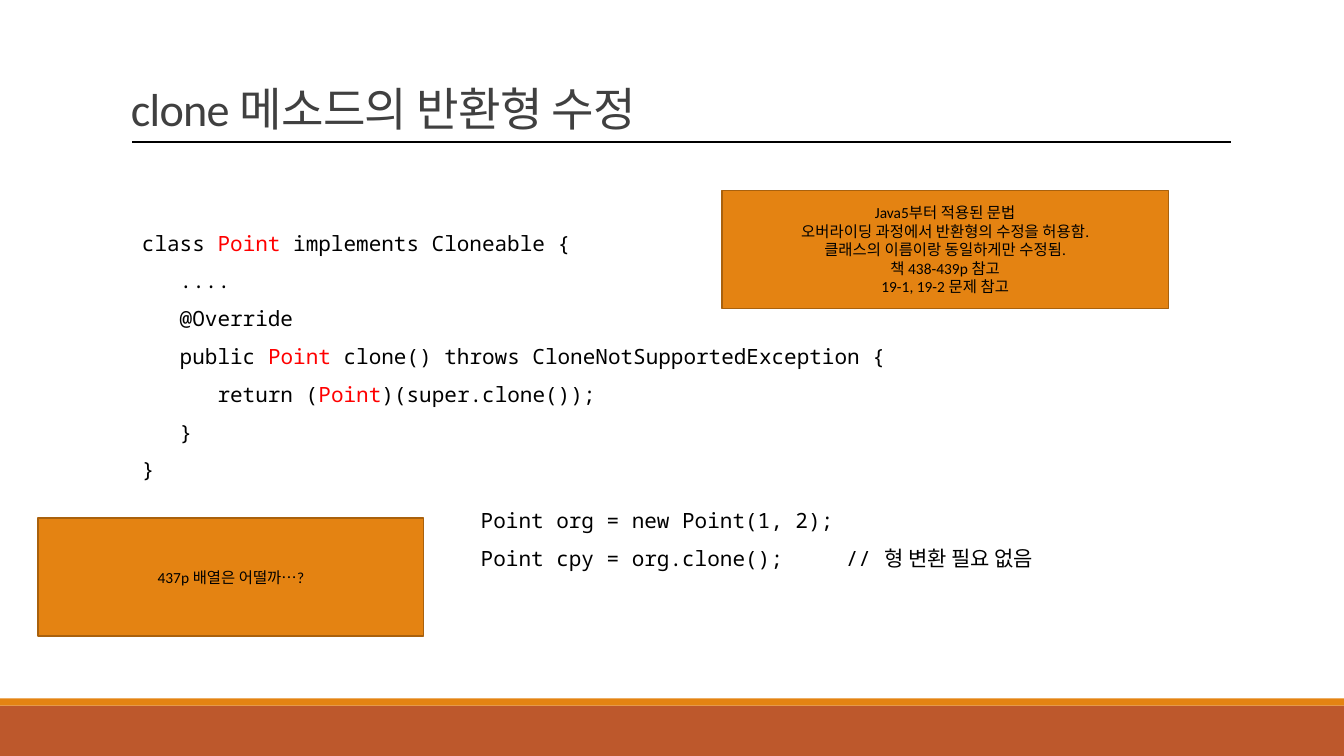
from pptx import Presentation
from pptx.dml.color import RGBColor
from pptx.enum.shapes import MSO_CONNECTOR as CONNECTOR, MSO_SHAPE as SHAPE
from pptx.enum.text import MSO_ANCHOR as ANCHOR, PP_ALIGN as ALIGN
from pptx.oxml.ns import qn
from pptx.util import Pt
from lxml import etree

PX = 9144  # EMU, 100 px to the inch
WIDTH, HEIGHT = 1333, 750
BODY_FONT, CODE_FONT = "Calibri", "Noto Sans Mono"
COLORS = {
    "footer": "BD582C",
    "accent": "E48312",
    "border": "A9610D",
    "title": "404040",
    "text": "000000",
    "keyword": "FF0000",
}

CLASS_CODE = """class Point implements Cloneable {
   ....
   @Override
   public Point clone() throws CloneNotSupportedException {
      return (Point)(super.clone());
   }
}"""
USAGE_CODE = """Point org = new Point(1, 2);
Point cpy = org.clone();     // 형 변환 필요 없음"""
SYNTAX_NOTE = """Java5부터 적용된 문법
오버라이딩 과정에서 반환형의 수정을 허용함.
클래스의 이름이랑 동일하게만 수정됨.
책 438-439p 참고
19-1, 19-2 문제 참고"""


def color(name):
    return RGBColor.from_string(COLORS[name])


def emu(*lengths):
    return [length * PX for length in lengths]


def style(font, name, size, color_name):
    font.name, font.size = name, Pt(size)
    font.color.rgb = color(color_name)


def add_paragraphs(frame, text):
    """Yield one paragraph of the frame with each line of the text."""
    for index, line in enumerate(text.split("\n")):
        paragraph = frame.add_paragraph() if index else frame.paragraphs[0]
        yield paragraph, line


def add_rectangle(slide, box, fill, border=None):
    shape = slide.shapes.add_shape(SHAPE.RECTANGLE, *emu(*box))
    shape.shadow.inherit = False
    shape.fill.solid()
    shape.fill.fore_color.rgb = color(fill)
    if border:
        shape.line.color.rgb = color(border)
        shape.line.width = Pt(1.25)
    else:
        shape.line.fill.background()
    return shape


def add_note(slide, box, text):
    frame = add_rectangle(slide, box, "accent", "border").text_frame
    frame.word_wrap = True
    frame.vertical_anchor = ANCHOR.MIDDLE
    for paragraph, line in add_paragraphs(frame, text):
        paragraph.alignment = ALIGN.CENTER
        paragraph.add_run().text = line
        style(paragraph.font, BODY_FONT, 11, "text")


def add_text_frame(slide, box):
    frame = slide.shapes.add_textbox(*emu(*box)).text_frame
    frame.word_wrap = True
    return frame


def add_title(slide, box, text):
    frame = add_text_frame(slide, box)
    frame.vertical_anchor = ANCHOR.BOTTOM
    paragraph = frame.paragraphs[0]
    paragraph.line_spacing = 0.85
    run = paragraph.add_run()
    run.text = text
    style(paragraph.font, BODY_FONT, 33, "title")
    run.font._element.set("spc", "-50")


def add_code(slide, box, code, keyword=None):
    """Add code lines, with each occurrence of the keyword highlighted."""
    frame = add_text_frame(slide, box)
    for paragraph, line in add_paragraphs(frame, code):
        paragraph.line_spacing = 1.5
        style(paragraph.font, CODE_FONT, 15, "text")
        for part in line.partition(keyword) if keyword else [line]:
            if part:
                run = paragraph.add_run()
                run.text = part
                if part == keyword:
                    run.font.color.rgb = color("keyword")


def add_rule(slide, left, right, top):
    line = slide.shapes.add_connector(CONNECTOR.STRAIGHT, *emu(left, top, right, top))
    line.line.color.rgb = color("text")
    line.line.width = Pt(1)
    etree.SubElement(line._element.spPr, qn("a:effectLst"))


def main():
    presentation = Presentation()
    presentation.slide_width, presentation.slide_height = emu(WIDTH, HEIGHT)
    slide = presentation.slides.add_slide(presentation.slide_layouts[6])

    add_rectangle(slide, (0, 700, WIDTH, 50), "footer")
    add_rectangle(slide, (0, 693, WIDTH, 7), "accent")
    add_title(slide, (120, 14, 1100, 126), "clone 메소드의 반환형 수정")
    add_rule(slide, 131, 1221, 141)
    add_code(slide, (131, 211, 991, 275), CLASS_CODE, keyword="Point")
    add_code(slide, (467, 486, 667, 86), USAGE_CODE)
    add_note(slide, (716, 189, 443, 117), SYNTAX_NOTE)
    add_note(slide, (38, 514, 382, 117), "437p 배열은 어떨까…?")
    presentation.save("out.pptx")


if __name__ == "__main__":
    main()
